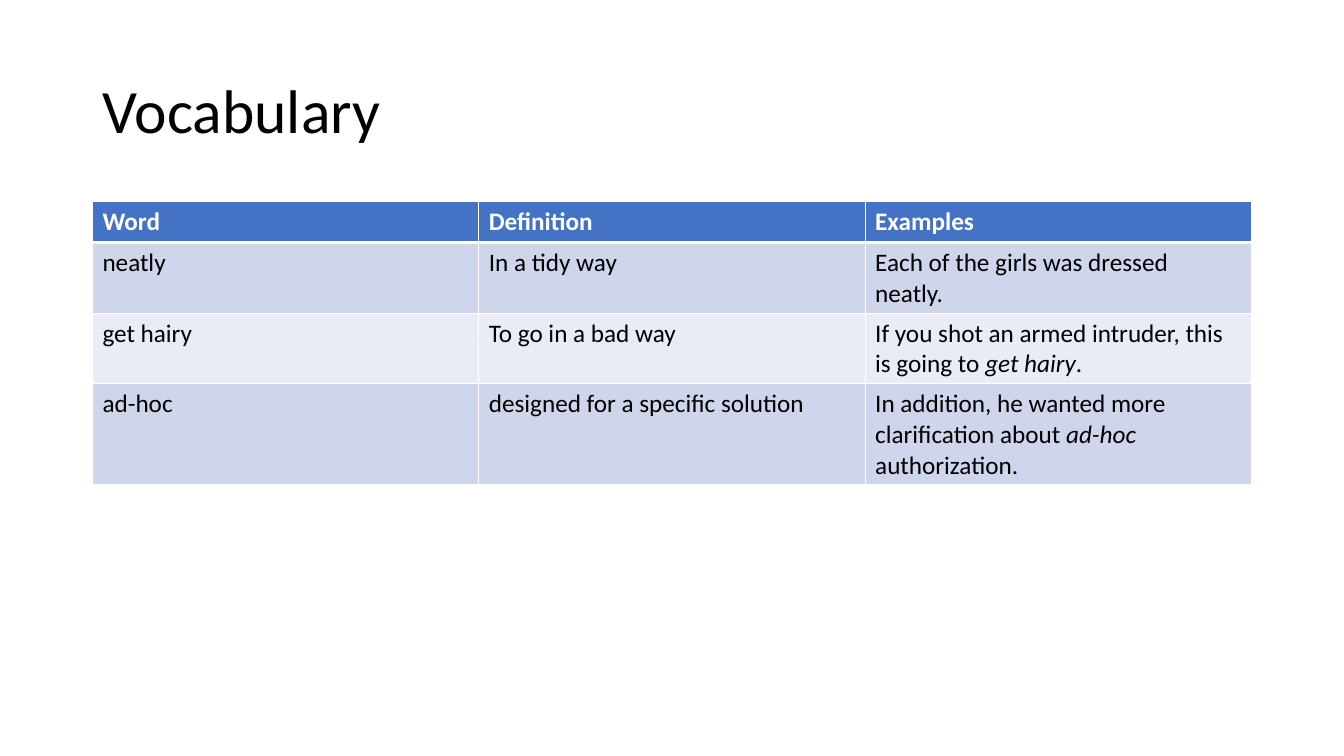
import pptx
import pptx.dml.color
import pptx.enum.text
import pptx.oxml
import pptx.oxml.ns
import pptx.util

Cm, Pt = pptx.util.Cm, pptx.util.Pt


class Deck:
    """Holds the style and the current slide."""

    font = "Calibri"
    colors = {
        "text": "000000",
        "white": "FFFFFF",
        "header": "4472C4",
        "band_dark": "CFD5EA",
        "band_light": "E9EBF5",
    }

    def __init__(self, prs):
        self.slide = prs.slides.add_slide(prs.slide_layouts[6])

    def color(self, name):
        return pptx.dml.color.RGBColor.from_string(self.colors[name])

    def style(self, p, size, color, bold=False):
        p.font.name = self.font
        p.font.size = Pt(size)
        p.font.bold = bold
        p.font.color.rgb = self.color(color)

    def title(self, text, left, top, width, height):
        tf = self.slide.shapes.add_textbox(left, top, width, height).text_frame
        tf.word_wrap = True
        tf.vertical_anchor = pptx.enum.text.MSO_ANCHOR.MIDDLE
        p = tf.paragraphs[0]
        p.text = text
        p.line_spacing = 0.9
        self.style(p, 44, "text")

    def border(self, cell, side, width):
        tc_pr = cell._tc.get_or_add_tcPr()
        tc_pr.append(pptx.oxml.parse_xml(
            f'<a:ln{side} {pptx.oxml.ns.nsdecls("a")} w="{Pt(width)}"><a:solidFill>'
            f'<a:srgbClr val="{self.colors["white"]}"/></a:solidFill></a:ln{side}>'))

    def cell(self, cell, runs, row):
        # Borders, with a thick rule under the header
        thick = {(0, "B"), (1, "T")}
        for side in "LRTB":
            self.border(cell, side, 3 if (row, side) in thick else 1)

        # Header fill, then alternating bands
        fill = "header" if row == 0 else "band_dark" if row % 2 else "band_light"
        cell.fill.solid()
        cell.fill.fore_color.rgb = self.color(fill)

        # Text, with every second run in italics
        p = cell.text_frame.paragraphs[0]
        for i, text in enumerate(runs):
            r = p.add_run()
            r.text = text
            if i % 2:
                r.font.italic = True
        self.style(p, 18, "text" if row else "white", bold=row == 0)

    def table(self, rows, heights, left, top, width):
        table = self.slide.shapes.add_table(
            len(rows), len(rows[0]), left, top, width, sum(heights)).table
        for i, (row, height) in enumerate(zip(rows, heights)):
            table.rows[i].height = height
            for j, content in enumerate(row):
                runs = [content] if isinstance(content, str) else content
                self.cell(table.cell(i, j), runs, i)


prs = pptx.Presentation()
prs.slide_width, prs.slide_height = Cm(33.87), Cm(19.05)
deck = Deck(prs)
left, width = Cm(2.33), Cm(29.21)

# Title
deck.title("Vocabulary", left, Cm(1.01), width, Cm(3.68))

# Vocabulary table
vocabulary = [
    ("Word", "Definition", "Examples"),
    ("neatly", "In a tidy way", "Each of the girls was dressed neatly."),
    ("get hairy", "To go in a bad way",
     ("If you shot an armed intruder, this is going to ", "get hairy", ".")),
    ("ad-hoc", "designed for a specific solution",
     ("In addition, he wanted more clarification about ", "ad-hoc", " authorization.")),
]
heights = [Cm(h) for h in (1.03, 1.78, 1.78, 2.54)]
deck.table(vocabulary, heights, left, Cm(5.08), width)

prs.save("out.pptx")
